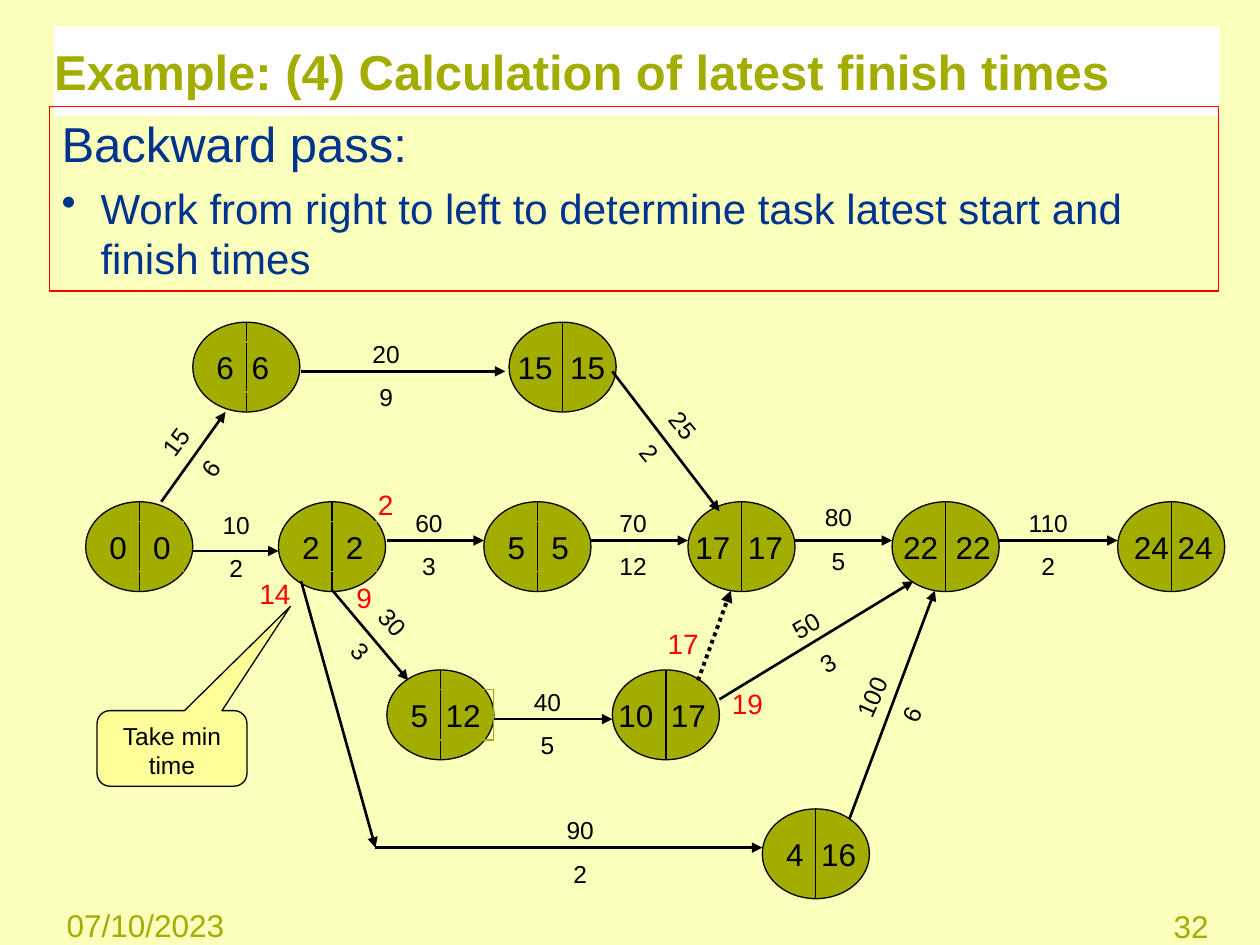
import pptx
import pptx.util
import pptx.dml.color
import pptx.enum.dml
import pptx.enum.shapes
import pptx.enum.text
import pptx.oxml

RGB = pptx.dml.color.RGBColor
KIND = pptx.enum.shapes.MSO_SHAPE
ALIGN = pptx.enum.text.PP_ALIGN
ANCHOR = pptx.enum.text.MSO_ANCHOR
DOTS = pptx.enum.dml.MSO_LINE.ROUND_DOT
Pt = pptx.util.Pt

CREAM = RGB(0xFB, 0xFF, 0xBC)
OLIVE = RGB(0xA2, 0xAD, 0x00)
NAVY = RGB(0x00, 0x33, 0x8E)
WHITE = RGB(0xFF, 0xFF, 0xFF)
BLACK = RGB(0x00, 0x00, 0x00)
RED = RGB(0xFF, 0x00, 0x00)
LEMON = RGB(0xFF, 0xFF, 0x99)

WIDE = pptx.util.Inches(10)
HIGH = pptx.util.Inches(7.5)
NODE_W, NODE_H = 8.5, 9.5
TAG_H = 9.2
DIGIT = 10  # width of an 18 point digit, in points
NS = 'xmlns:a="http://schemas.openxmlformats.org/drawingml/2006/main"'

# Places are percent of slide width and height.
# left, top, earliest, latest, gap in half digits, label shift, framed label
NODES = [
    (6.8, 53.1, "0", "0", 3, 0.9, True),
    (15.3, 34.1, "6", "6", 2, 0.9, True),
    (22.1, 53.1, "2", "2", 3, 0.9, True),
    (38.4, 53.1, "5", "5", 3, 0.9, True),
    (54.6, 53.1, "17", "17", 2, -0.4, False),
    (70.8, 53.1, "22", "22", 2, -0.1, False),
    (88.7, 53.1, "24", "24", 1, 0.3, False),
    (40.4, 34.1, "15", "15", 2, -0.3, False),
    (30.7, 70.9, "5", "12", 2, 0.9, True),
    (48.6, 70.9, "10", "17", 2, -0.5, False),
    (60.5, 85.6, "4", "16", 2, 0.9, False),
]
# from x, y, to x, y
EDGES = [
    (12.8, 53.1, 17.9, 43.6), (23.9, 39.3, 40.1, 39.3),
    (15.3, 58.3, 22.1, 58.3), (30.7, 57.2, 38.4, 57.2),
    (26.4, 62.5, 32.4, 72), (23.9, 61.5, 29.8, 89.7),
    (29.8, 89.7, 60.5, 89.7), (39.2, 76.1, 48.6, 76.1),
    (48.6, 39.3, 57.1, 54.1), (46.9, 57.2, 54.6, 57.2),
    (63.1, 57.2, 70.8, 57.2), (79.3, 57.2, 88.7, 57.2),
    (57.1, 74, 72.5, 61.5), (67.4, 86.7, 74.2, 62.5),
]
# left, top, width, task, days, turn
TASKS = [
    (12.8, 43.6, 5.1, "15", "6", 306.8), (28.1, 35.2, 5.1, "20", "9", 0),
    (16.2, 53.3, 5.1, "10", "2", 0), (31.5, 53.1, 5.1, "60", "3", 0),
    (27.3, 62.8, 5.1, "30", "3", 47.9), (43.5, 85.6, 5.1, "90", "2", 0),
    (40.9, 72, 5.1, "40", "5", 0), (50.3, 41.9, 5.1, "25", "2", 50.8),
    (47.7, 53.1, 5.1, "70", "12", 0), (64, 52.5, 5.1, "80", "5", 0),
    (80.2, 53.1, 6, "110", "2", 0), (62.3, 63.6, 5.1, "50", "3", 329.9),
    (67.8, 70.1, 6, "100", "6", 293.8),
]
TIMES = [(57.1, 72, "19"), (52, 65.6, "17"), (27.3, 60.8, "9"),
         (29, 50.9, "2"), (19.6, 60.4, "14")]


def across(part):
    return round(WIDE * part / 100)


def down(part):
    return round(HIGH * part / 100)


def place(x, y, w, h):
    return across(x), down(y), across(w), down(h)


def paint(shape, fill=None, edge=None):
    if fill is None:
        shape.fill.background()
    else:
        shape.fill.solid()
        shape.fill.fore_color.rgb = fill
    if edge is None:
        shape.line.fill.background()
    else:
        shape.line.color.rgb = edge
        shape.line.width = Pt(0.75)


def draw(slide, kind, spot, fill, edge):
    shape = slide.shapes.add_shape(kind, *place(*spot))
    shape.shadow.inherit = False
    paint(shape, fill, edge)
    return shape


def write(para, text, size, tint, bold=False):
    run = para.add_run()
    run.text = text
    run.font.name = "Arial"
    run.font.size = Pt(size)
    run.font.color.rgb = tint
    run.font.bold = bold


def add_box(slide, spot, text, size, tint, align=ALIGN.LEFT, bold=False):
    box = slide.shapes.add_textbox(*place(*spot))
    box.text_frame.word_wrap = True
    para = box.text_frame.paragraphs[0]
    para.alignment = align
    write(para, text, size, tint, bold)
    return box


def add_line(slide, ends, width, head=True, dash=None):
    x1, y1, x2, y2 = ends
    line = slide.shapes.add_connector(
        pptx.enum.shapes.MSO_CONNECTOR.STRAIGHT,
        across(x1), down(y1), across(x2), down(y2))
    line.line.color.rgb = BLACK
    line.line.width = Pt(width)
    if dash:
        line.line.dash_style = dash
    if head:
        line.line._get_or_add_ln().append(
            pptx.oxml.parse_xml(f'<a:tailEnd {NS} type="triangle"/>'))
    line._element.spPr.append(pptx.oxml.parse_xml(f"<a:effectLst {NS}/>"))


def add_node(slide, x, y, early, late, gap, shift, framed):
    """Draw a halved event with its earliest and latest time."""
    draw(slide, KIND.OVAL, (x, y, NODE_W, NODE_H), OLIVE, BLACK)
    mid = x + NODE_W / 2
    add_line(slide, (mid, y + NODE_H, mid, y), 0.75, head=False)
    stop = DIGIT * (len(early) + gap / 2)
    wide = Pt(stop + DIGIT * len(late) + 14.4) / WIDE * 100
    box = add_box(slide, (x + shift, y + 2.1, wide, 5.3),
                  early + "\t" + late, 18, BLACK)
    box.text_frame.margin_right = 0
    props = box.text_frame.paragraphs[0]._p.get_or_add_pPr()
    props.append(pptx.oxml.parse_xml(
        f'<a:tabLst {NS}><a:tab pos="{Pt(stop)}" algn="l"/></a:tabLst>'))
    if framed:
        paint(box, edge=OLIVE)


def add_task(slide, x, y, w, name, days, turn):
    box = add_box(slide, (x, y, w, TAG_H), name, 14, BLACK, ALIGN.CENTER)
    para = box.text_frame.add_paragraph()
    para.alignment = ALIGN.CENTER
    para.space_before = Pt(8)
    write(para, days, 14, BLACK)
    box.rotation = turn


def add_head(slide):
    title = add_box(slide, (4.3, 2.8, 92.5, 9.5),
                    "Example: (4) Calculation of latest finish times",
                    28, OLIVE, bold=True)
    title.text_frame.margin_left = 0
    title.text_frame.vertical_anchor = ANCHOR.MIDDLE
    paint(title, fill=WHITE)
    body = add_box(slide, (3.9, 11.3, 92.8, 19.5), "Backward pass:", 28, NAVY)
    paint(body, edge=RED)
    para = body.text_frame.add_paragraph()
    para.space_before = Pt(6)
    props = para._p.get_or_add_pPr()
    dent = pptx.util.Inches(0.31)
    props.set("marL", str(dent))
    props.set("indent", str(-dent))
    props.append(pptx.oxml.parse_xml(f'<a:buChar {NS} char="•"/>'))
    write(para, "Work from right to left to determine task latest start "
          "and finish times", 24, NAVY)


def add_hint(slide):
    hint = draw(slide, KIND.ROUNDED_RECTANGULAR_CALLOUT,
                (7.7, 75.2, 11.9, 8), LEMON, BLACK)
    for i, value in enumerate((0.79, -1.88, 0.17)):
        hint.adjustments[i] = value
    frame = hint.text_frame
    frame.word_wrap = True
    frame.vertical_anchor = ANCHOR.TOP
    frame.paragraphs[0].alignment = ALIGN.CENTER
    write(frame.paragraphs[0], "Take min time", 14, BLACK)


def main():
    deck = pptx.Presentation()
    deck.slide_width, deck.slide_height = WIDE, HIGH
    slide = deck.slides.add_slide(deck.slide_layouts[6])
    slide.background.fill.solid()
    slide.background.fill.fore_color.rgb = CREAM
    add_box(slide, (4.3, 95.2, 18.7, 4.8), "07/10/2023", 18, OLIVE)
    add_box(slide, (88.5, 95.3, 8.4, 4.7), "32", 18, OLIVE, ALIGN.RIGHT)
    add_head(slide)
    for node in NODES:
        add_node(slide, *node)
    for edge in EDGES:
        add_line(slide, edge, 1.5)
    add_line(slide, (55.4, 72, 58, 62.5), 2.25, dash=DOTS)
    for task in TASKS:
        add_task(slide, *task)
    for x, y, time in TIMES:
        add_box(slide, (x, y, 6, 4.9), time, 16, RED)
    add_hint(slide)
    deck.save("out.pptx")


if __name__ == "__main__":
    main()
